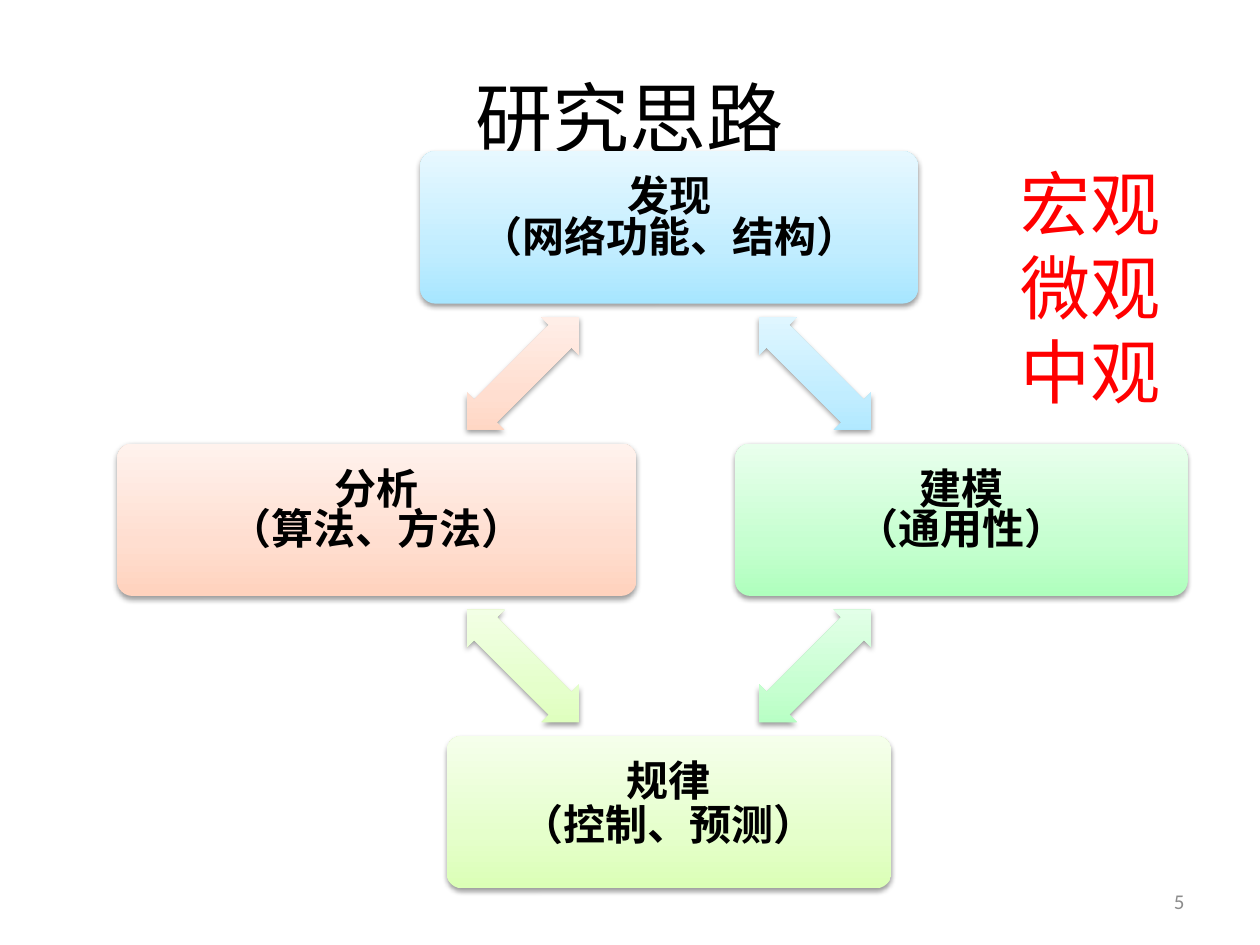
from typing import NamedTuple

from lxml import etree
from pptx import Presentation
from pptx.dml.color import RGBColor
from pptx.enum import shapes, text
from pptx.oxml import parse_xml
from pptx.oxml.ns import nsdecls, qn
from pptx.util import Inches, Pt

WIDTH, HEIGHT = 10, 7.5
CENTRE_X, CENTRE_Y, STEP = 5.31, 4.125, 2.32
BOX_HEIGHT, ARROW_WIDTH, ARROW_HEIGHT = 1.21, 1.26, 0.42
CJK = "Noto Sans CJK SC"


class Stage(NamedTuple):
    """A box on the cycle and the arrow that follows it clockwise."""
    lines: tuple[str, str]
    column: int
    row: int
    width: float
    colors: tuple[str, str, str]
    arrow_column: float
    arrow_row: float
    rotation: int
    line_spacing: int = 15


class Label(NamedTuple):
    """Free-standing text placed by shares of the slide's size."""
    lines: tuple[str, ...]
    left: float
    top: float
    width: float
    height: float
    size: int
    color: str
    font: str
    align: text.PP_ALIGN
    anchor: text.MSO_ANCHOR = text.MSO_ANCHOR.MIDDLE
    wrap: bool = True


STAGES = (
    Stage(("发现", "（网络功能、结构）"), 0, -1, 3.95,
          ("A7E6FF", "C1EDFF", "E7F8FF"), 0.5, -0.5, 45),
    Stage(("建模", "（通用性）"), 1, 0, 3.59,
          ("AFFFBD", "C6FFD0", "E9FFED"), 0.5, 0.5, 135),
    Stage(("规律", "（控制、预测）"), 0, 1, 3.53,
          ("DBFFB6", "E5FFCB", "F5FFEB"), -0.5, 0.5, 225, 17),
    Stage(("分析", "（算法、方法）"), -1, 0, 4.12,
          ("FFD2BD", "FFDED0", "FFF2ED"), -0.5, -0.5, 315),
)
TITLE = Label(("研究思路",), 0.05, 0.04, 0.9, 1 / 6, 44, "000000",
              "Calibri", text.PP_ALIGN.CENTER)
PAGE_NUMBER = Label(("5",), 0.717, 0.927, 0.233, 0.053, 12, "8C8C8C",
                    "Calibri", text.PP_ALIGN.RIGHT)
SCALES = Label(("宏观", "微观", "中观"), 0.8, 0.163, 0.132, 0.283, 40, "FF0000",
               CJK, text.PP_ALIGN.LEFT, text.MSO_ANCHOR.TOP, False)


def rgb(value: str) -> RGBColor:
    """Turn a hex string into a colour."""
    return RGBColor.from_string(value)


def write_lines(frame, lines, size: int, color: str, font: str, align, bold=False) -> None:
    """Write one paragraph per line with a single styled run."""
    for index, line in enumerate(lines):
        paragraph = frame.add_paragraph() if index else frame.paragraphs[0]
        paragraph.alignment = align
        run = paragraph.add_run()
        run.text = line
        run.font.size, run.font.bold, run.font.name = Pt(size), bold, font
        run.font.color.rgb = rgb(color)
        etree.SubElement(run.font._element, qn("a:ea")).set("typeface", CJK)


def add_label(slide, label: Label) -> None:
    """Add a text box."""
    shape = slide.shapes.add_textbox(
        Inches(label.left * WIDTH), Inches(label.top * HEIGHT),
        Inches(label.width * WIDTH), Inches(label.height * HEIGHT))
    frame = shape.text_frame
    frame.word_wrap, frame.vertical_anchor = label.wrap, label.anchor
    write_lines(frame, label.lines, label.size, label.color, label.font, label.align)


def add_cell(slide, preset, column: float, row: float, width: float, height: float, colors):
    """Centre a shaded, shadowed shape on a grid point."""
    shape = slide.shapes.add_shape(
        preset, Inches(CENTRE_X + column * STEP - width / 2),
        Inches(CENTRE_Y + row * STEP - height / 2), Inches(width), Inches(height))
    shape.line.fill.background()
    stops = "".join(f'<a:gs pos="{place}"><a:srgbClr val="{color}"/></a:gs>'
                    for place, color in zip((0, 35000, 100000), colors))
    properties = shape._element.spPr
    properties.find(qn("a:prstGeom")).addnext(parse_xml(
        f'<a:gradFill {nsdecls("a")} rotWithShape="0"><a:gsLst>{stops}</a:gsLst>'
        '<a:lin ang="16200000" scaled="0"/></a:gradFill>'))
    properties.append(parse_xml(
        f'<a:effectLst {nsdecls("a")}><a:outerShdw blurRad="{Pt(3.1)}" dist="{Pt(1.6)}" '
        'dir="5400000" rotWithShape="0"><a:srgbClr val="000000"><a:alpha val="38000"/>'
        '</a:srgbClr></a:outerShdw></a:effectLst>'))
    return shape


def add_stage(slide, stage: Stage) -> None:
    """Add a stage box and its outgoing double arrow."""
    box = add_cell(slide, shapes.MSO_SHAPE.ROUNDED_RECTANGLE, stage.column, stage.row,
                   stage.width, BOX_HEIGHT, stage.colors)
    box.adjustments[0] = 0.1
    frame = box.text_frame
    frame.word_wrap, frame.vertical_anchor = True, text.MSO_ANCHOR.MIDDLE
    frame.margin_left = frame.margin_right = Inches(0.1)
    frame.margin_top = frame.margin_bottom = Inches(0.1)
    write_lines(frame, stage.lines, 24, "000000", CJK, text.PP_ALIGN.CENTER, True)
    for paragraph in frame.paragraphs:
        paragraph.line_spacing, paragraph.space_after = Pt(stage.line_spacing), Pt(8.4)
    arrow = add_cell(slide, shapes.MSO_SHAPE.LEFT_RIGHT_ARROW, stage.arrow_column,
                     stage.arrow_row, ARROW_WIDTH, ARROW_HEIGHT, stage.colors)
    arrow.adjustments[0], arrow.adjustments[1] = 0.6, 0.5
    arrow.rotation = stage.rotation


def main() -> None:
    """Build the slide."""
    presentation = Presentation()
    presentation.slide_width, presentation.slide_height = Inches(WIDTH), Inches(HEIGHT)
    slide = presentation.slides.add_slide(presentation.slide_layouts[6])
    add_label(slide, TITLE)
    add_label(slide, PAGE_NUMBER)
    for stage in STAGES:
        add_stage(slide, stage)
    add_label(slide, SCALES)
    presentation.save("out.pptx")


if __name__ == "__main__":
    main()
